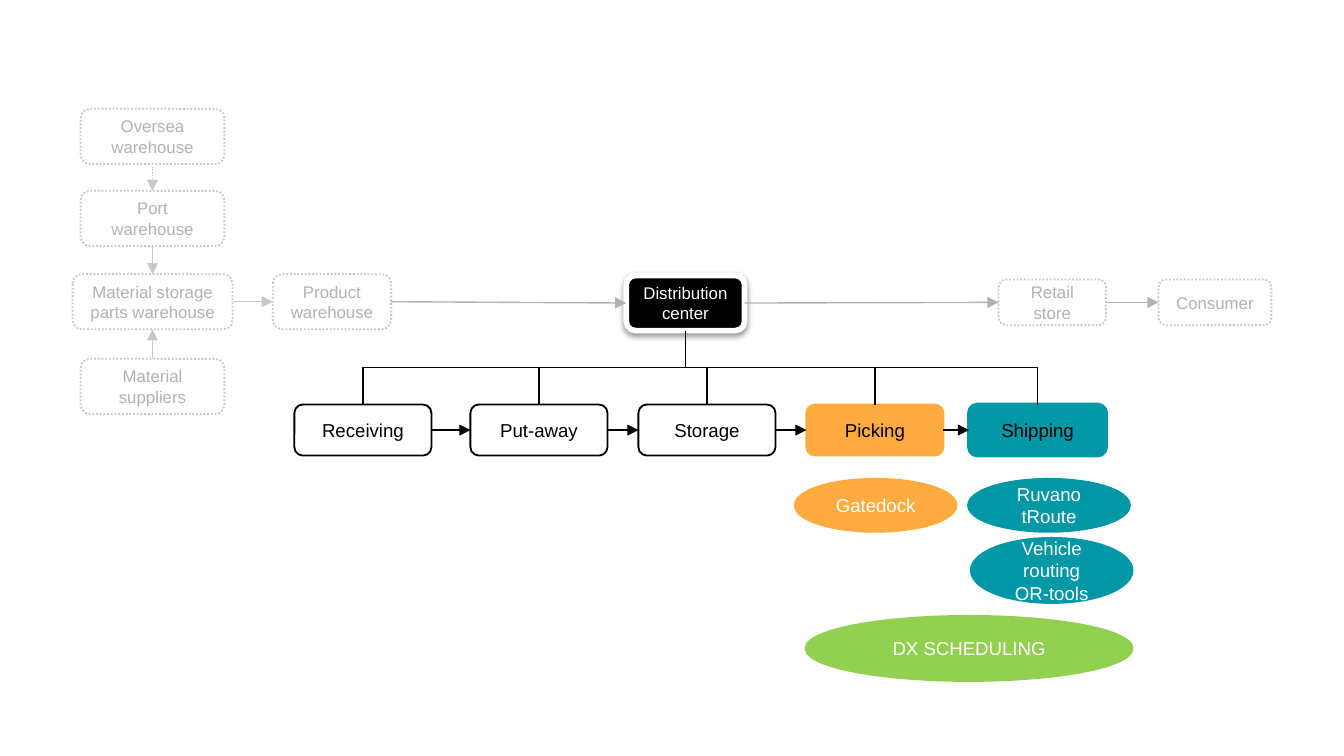
from collections import namedtuple

from lxml import etree
from pptx import Presentation
from pptx import util as u
from pptx.dml.color import RGBColor
from pptx.enum import dml, shapes, text
from pptx.oxml import ns

BLACK = RGBColor(0x00, 0x00, 0x00)
WHITE = RGBColor(0xFF, 0xFF, 0xFF)
PALE = RGBColor(0xC8, 0xC8, 0xC8)
GREY = RGBColor(0xB2, 0xB2, 0xB2)
ORANGE = RGBColor(0xFF, 0xAB, 0x40)
TEAL = RGBColor(0x00, 0x97, 0xA7)
GREEN = RGBColor(0x92, 0xD0, 0x50)

ROUNDED = shapes.MSO_SHAPE.ROUNDED_RECTANGLE
OVAL = shapes.MSO_SHAPE.OVAL
DOTTED = dml.MSO_LINE.ROUND_DOT
TOP, LEFT, BOTTOM, RIGHT = range(4)

Box = namedtuple("Box", "left top width height")


def place(region, left, top, width, height):
    """Box at an offset from the region's corner."""
    return Box(region.left + left, region.top + top, width, height)


def add_node(page, kind, box, label, fill, line, line_width, color, size):
    node = page.shapes.add_shape(kind, *(u.Inches(side) for side in box))
    node.shadow.inherit = False
    node.fill.solid()
    node.fill.fore_color.rgb = fill
    node.line.color.rgb = line
    node.line.width = u.Pt(line_width)
    frame = node.text_frame
    frame.word_wrap = True
    frame.vertical_anchor = text.MSO_ANCHOR.MIDDLE
    frame.text = label
    para = frame.paragraphs[0]
    para.alignment = text.PP_ALIGN.CENTER
    font = para.runs[0].font
    font.name = "Arial"
    font.size = u.Pt(size)
    font.color.rgb = color
    return node


def add_faded(page, box, label):
    node = add_node(page, ROUNDED, box, label, WHITE, PALE, 1, GREY, 9)
    node.line.dash_style = DOTTED
    return node


def style_line(line, color):
    line.line.color.rgb = color
    line.line.width = u.Pt(0.75)
    etree.SubElement(line._element.spPr, ns.qn("a:effectLst"))


def add_arrow(page, start, start_side, end, end_side, color):
    arrow = page.shapes.add_connector(shapes.MSO_CONNECTOR.STRAIGHT, 0, 0, 0, 0)
    arrow.begin_connect(start, start_side)
    arrow.end_connect(end, end_side)
    style_line(arrow, color)
    outline = arrow.line._get_or_add_ln()
    etree.SubElement(outline, ns.qn("a:tailEnd"), type="triangle")
    return arrow


def add_branch(page, parent, child):
    """Elbow going down, across and down, as a sideways elbow turned upright."""
    start_x, start_y = parent.left + parent.width // 2, parent.top + parent.height
    end_x, end_y = child.left + child.width // 2, child.top
    middle_x, middle_y = (start_x + end_x) // 2, (start_y + end_y) // 2
    goes_right = end_x > start_x
    half_drop = (end_y - start_y) // 2 * (1 if goes_right else -1)
    half_run = abs(end_x - start_x) // 2
    branch = page.shapes.add_connector(
        shapes.MSO_CONNECTOR.ELBOW,
        middle_x + half_drop, middle_y - half_run,
        middle_x - half_drop, middle_y + half_run)
    turn = 270 if goes_right else 90
    branch._element.spPr.find(ns.qn("a:xfrm")).set("rot", str(turn * 60000))
    style_line(branch, BLACK)


def add_supply(page, region):
    """Inbound warehouses; returns the product warehouse."""
    oversea, port, suppliers = [
        add_faded(page, place(region, 0.06, top, 1.07, 0.41), label)
        for label, top in (("Oversea warehouse", 0), ("Port warehouse", 0.61),
                           ("Material suppliers", 1.86))]
    parts = add_faded(page, place(region, 0, 1.23, 1.19, 0.41),
                      "Material storage parts warehouse")
    product = add_faded(page, place(region, 1.49, 1.23, 0.88, 0.41), "Product warehouse")
    first = add_arrow(page, oversea, BOTTOM, port, TOP, PALE)
    first.line.dash_style = DOTTED
    add_arrow(page, port, BOTTOM, parts, TOP, PALE)
    add_arrow(page, suppliers, TOP, parts, BOTTOM, PALE)
    add_arrow(page, parts, RIGHT, product, LEFT, PALE)
    return product


def add_center(page, box):
    center = add_node(page, ROUNDED, box, "Distribution center", BLACK, WHITE, 3, WHITE, 9)
    effects = center._element.spPr.find(ns.qn("a:effectLst"))
    shadow = etree.SubElement(
        effects, ns.qn("a:outerShdw"), blurRad=str(u.Pt(3.1)), dist=str(u.Pt(1.6)),
        dir="5400000", algn="ctr", rotWithShape="0")
    color = etree.SubElement(shadow, ns.qn("a:srgbClr"), val=str(BLACK))
    etree.SubElement(color, ns.qn("a:alpha"), val="38000")
    return center


def add_sales(page, region):
    """Outbound stops; returns the retail store."""
    store = add_faded(page, place(region, 0, 0, 0.8, 0.34), "Retail store")
    consumer = add_faded(page, place(region, 1.19, 0, 0.84, 0.34), "Consumer")
    add_arrow(page, store, RIGHT, consumer, LEFT, GREY)
    return store


def add_steps(page, region, center):
    steps = [
        add_node(page, ROUNDED, place(region, left, 0, 1.02, region.height),
                 label, fill, line, line_width, BLACK, 10)
        for label, left, fill, line, line_width in (
            ("Receiving", 0, WHITE, BLACK, 1),
            ("Put-away", 1.31, WHITE, BLACK, 1),
            ("Storage", 2.56, WHITE, BLACK, 1),
            ("Picking", 3.81, ORANGE, ORANGE, 1),
            ("Shipping", 5.02, TEAL, TEAL, 2))]
    for step, following in zip(steps, steps[1:]):
        add_arrow(page, step, RIGHT, following, LEFT, BLACK)
    for step in steps:
        add_branch(page, center, step)


def add_tools(page, region):
    for label, left, top, width, height, color in (
            ("Gatedock", 0, 0, 1.19, 0.38, ORANGE),
            ("Ruvano tRoute", 1.29, 0, 1.19, 0.38, TEAL),
            ("Vehicle routing OR-tools", 1.31, 0.44, 1.19, 0.47, TEAL),
            ("DX SCHEDULING", 0.08, 1.02, 2.42, 0.47, GREEN)):
        add_node(page, OVAL, place(region, left, top, width, height),
                 label, color, color, 2, WHITE, 10)


def main():
    deck = Presentation()
    deck.slide_width = u.Inches(10)
    deck.slide_height = deck.slide_width * 9 // 16
    page = deck.slides.add_slide(deck.slide_layouts[6])
    product = add_supply(page, Box(0.54, 0.81, 2.37, 2.27))
    center = add_center(page, Box(4.66, 2.05, 0.88, 0.41))
    store = add_sales(page, Box(7.43, 2.08, 2.03, 0.34))
    add_arrow(page, product, RIGHT, center, LEFT, GREY)
    add_arrow(page, center, RIGHT, store, LEFT, GREY)
    add_steps(page, Box(2.19, 3.01, 6.04, 0.38), center)
    add_tools(page, Box(5.92, 3.57, 2.5, 1.49))
    deck.save("out.pptx")


if __name__ == "__main__":
    main()
